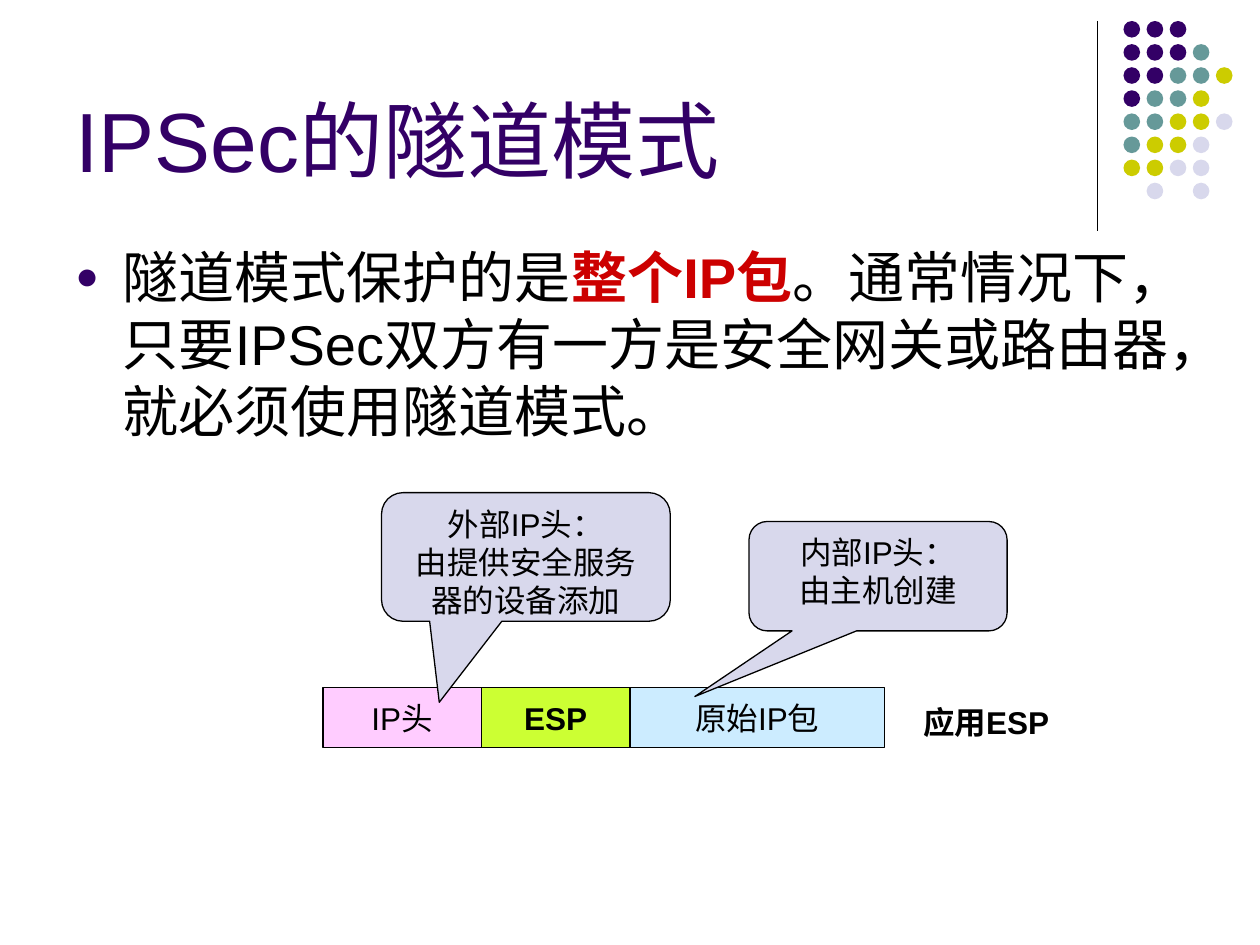
from lxml import etree
from pptx import Presentation
from pptx.dml.color import RGBColor
from pptx.enum.shapes import MSO_CONNECTOR, MSO_SHAPE
from pptx.enum.text import MSO_ANCHOR, PP_ALIGN
from pptx.oxml.ns import qn
from pptx.util import Pt

LINE = MSO_CONNECTOR.STRAIGHT
OVAL = MSO_SHAPE.OVAL
RECTANGLE = MSO_SHAPE.RECTANGLE
CALLOUT = MSO_SHAPE.ROUNDED_RECTANGULAR_CALLOUT
TOP, MIDDLE, BOTTOM = MSO_ANCHOR.TOP, MSO_ANCHOR.MIDDLE, MSO_ANCHOR.BOTTOM
CENTER, LEFT = PP_ALIGN.CENTER, PP_ALIGN.LEFT

FONT = "Arial"
COLORS = {
    "purple": "330066",
    "teal": "669999",
    "olive": "CCCC00",
    "lavender": "D8D8EC",
    "black": "000000",
    "red": "CC0000",
    "pink": "FFCCFF",
    "lime": "CCFF33",
    "sky": "CCECFF",
}
DOT_COLORS = {"P": "purple", "T": "teal", "O": "olive", "L": "lavender"}
DOT_ROWS = ["PPP", "PPPT", "PPTTO", "PTTO", "TTOOL", "TOOL", "OOLL", " L L"]
DOT_SIZE, DOT_PITCH = 9.5, 13.2


def color(name):
    return RGBColor.from_string(COLORS[name])


def style_span(span, size, color_name="black", bold=False):
    span.font.name = FONT
    span.font.size = Pt(size)
    span.font.bold = bold
    span.font.color.rgb = color(color_name)


def write_text(shape, text, size=18, color_name="black", bold=False,
               align=LEFT, anchor=TOP, wrap=True):
    frame = shape.text_frame
    frame.text = text
    frame.word_wrap = wrap
    frame.vertical_anchor = anchor
    for para in frame.paragraphs:
        para.alignment = align
        for span in para.runs:
            style_span(span, size, color_name, bold)


def add_filled(page, kind, bounds, fill, outlined=True):
    shape = page.shapes.add_shape(kind, *map(Pt, bounds))
    shape.shadow.inherit = False
    shape.fill.solid()
    shape.fill.fore_color.rgb = color(fill)
    if outlined:
        shape.line.color.rgb = color("black")
        shape.line.width = Pt(0.75)
    else:
        shape.line.fill.background()
    return shape


def add_label(page, bounds, text, **style):
    box = page.shapes.add_textbox(*map(Pt, bounds))
    write_text(box, text, **style)


def add_corner_ornament(page):
    rule = page.shapes.add_connector(LINE, Pt(627), Pt(12), Pt(627), Pt(132))
    rule.line.color.rgb = color("black")
    rule.line.width = Pt(0.75)
    etree.SubElement(rule._element.spPr, qn("a:effectLst"))
    for row, codes in enumerate(DOT_ROWS):
        for column, code in enumerate(codes):
            if code in DOT_COLORS:
                bounds = (642 + column * DOT_PITCH, 12 + row * DOT_PITCH,
                          DOT_SIZE, DOT_SIZE)
                add_filled(page, OVAL, bounds, DOT_COLORS[code], outlined=False)


def add_bullet(para, indent):
    properties = para._p.get_or_add_pPr()
    properties.set("marL", str(Pt(indent)))
    properties.set("indent", str(-Pt(indent)))
    bullet_color = etree.SubElement(properties, qn("a:buClr"))
    etree.SubElement(bullet_color, qn("a:srgbClr"), val=COLORS["purple"])
    etree.SubElement(properties, qn("a:buSzPct"), val="70000")
    etree.SubElement(properties, qn("a:buFont"), typeface=FONT)
    etree.SubElement(properties, qn("a:buChar"), char="●")


def add_body(page):
    box = page.shapes.add_textbox(Pt(36), Pt(135), Pt(648), Pt(347))
    box.text_frame.word_wrap = True
    para = box.text_frame.paragraphs[0]
    add_bullet(para, 27)
    for text, color_name, bold in [
        ("隧道模式保护的是", "black", False),
        ("整个IP包", "red", True),
        ("。通常情况下，只要IPSec双方有一方是安全网关或路由器，就必须使用隧道模式。",
         "black", False),
    ]:
        span = para.add_run()
        span.text = text
        style_span(span, 32, color_name, bold)


def add_packet(page):
    """Draw the packet fields side by side."""
    left = 184.5
    for text, width, fill, bold in [
        ("IP头", 90.5, "pink", False),
        ("ESP", 85, "lime", True),
        ("原始IP包", 145.5, "sky", False),
    ]:
        field = add_filled(page, RECTANGLE, (left, 393, width, 34), fill)
        write_text(field, text, bold=bold, align=CENTER, anchor=MIDDLE, wrap=False)
        left += width


def add_callout(page, bounds, tip, text):
    """Tip is the pointer's offset from the centre, as shares of the size."""
    callout = add_filled(page, CALLOUT, bounds, "lavender")
    callout.adjustments[0], callout.adjustments[1] = tip
    write_text(callout, text, align=CENTER)


def main():
    deck = Presentation()
    deck.slide_width, deck.slide_height = Pt(720), Pt(540)
    page = deck.slides.add_slide(deck.slide_layouts[6])
    add_corner_ornament(page)
    add_label(page, (36, 9.5, 594, 102), "IPSec的隧道模式",
              size=48, color_name="purple", anchor=BOTTOM)
    add_body(page)
    add_packet(page)
    add_label(page, (520.5, 398, 91, 29), "应用ESP", bold=True, wrap=False)
    add_callout(page, (428, 298, 147.5, 62.5), (-0.71, 1.1), "内部IP头：\n由主机创建")
    add_callout(page, (218, 281.5, 165, 73.5), (-0.3, 1.13),
                "外部IP头：\n由提供安全服务器的设备添加")
    deck.save("out.pptx")


if __name__ == "__main__":
    main()
